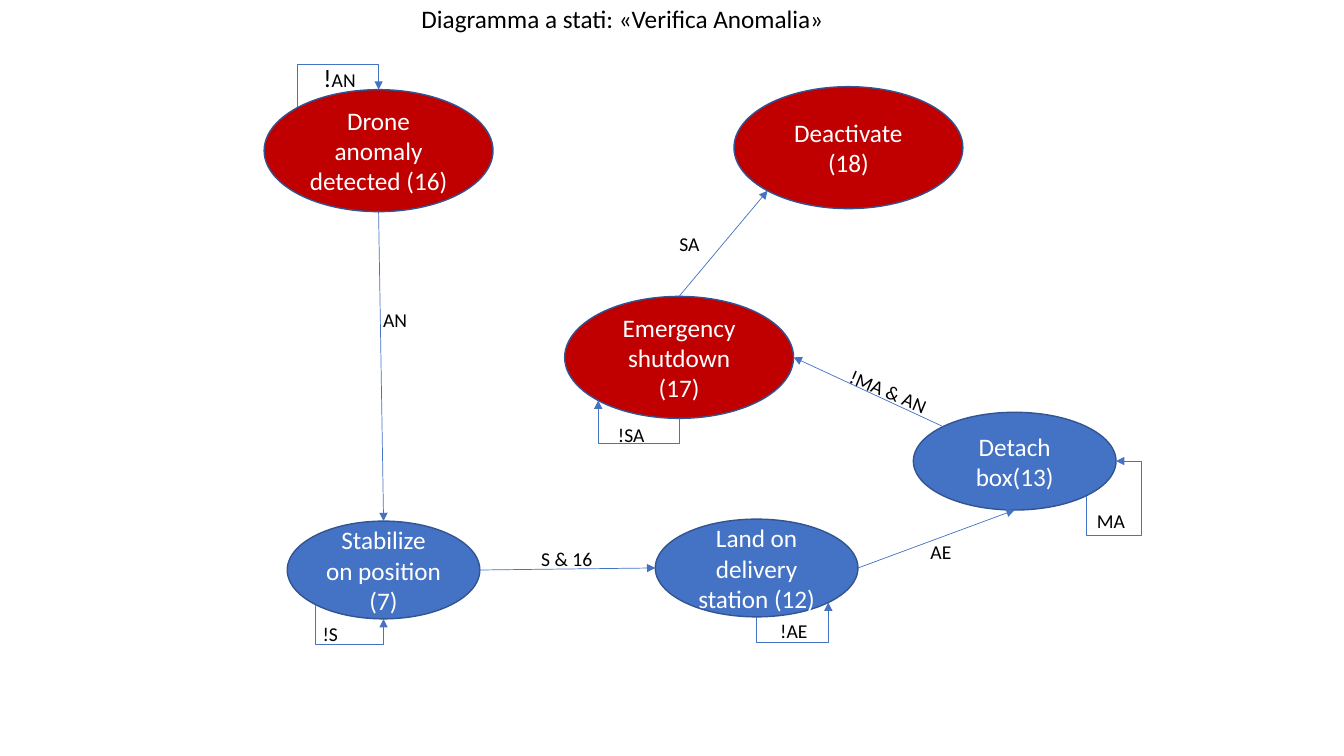
import math
from pptx import Presentation
from pptx import util as u
from pptx.dml.color import RGBColor
from pptx.enum import shapes, text
from pptx.oxml import ns
from lxml import etree

RED = RGBColor(0xC0, 0x00, 0x00)
BLUE = RGBColor(0x44, 0x72, 0xC4)
OUTLINE = RGBColor(0x32, 0x54, 0x91)
WHITE = RGBColor(0xFF, 0xFF, 0xFF)
BLACK = RGBColor(0x00, 0x00, 0x00)

presentation = Presentation()
presentation.slide_width = u.Inches(13.33)
presentation.slide_height = u.Inches(7.5)
COLUMN = presentation.slide_width / 100
ROW = presentation.slide_height / 100
slide = presentation.slides.add_slide(presentation.slide_layouts[5])


def add_run(paragraph, words, size, color):
    """Append one Calibri run to the paragraph."""
    run = paragraph.add_run()
    run.text = words
    run.font.name = "Calibri"
    run.font.size = u.Pt(size)
    run.font.color.rgb = color


def add_arrow(kind, start, end):
    """Draw a thin blue connector with an arrowhead at its end."""
    connector = slide.shapes.add_connector(kind, *start, *end)
    connector.line.color.rgb = BLUE
    connector.line.width = u.Pt(0.5)
    outline = connector.line._get_or_add_ln()
    etree.SubElement(outline, ns.qn("a:tailEnd"), type="triangle")
    etree.SubElement(connector._element.spPr, ns.qn("a:effectLst"))
    return connector


# Title
title = slide.shapes.title
title.left, title.top = round(30.61 * COLUMN), round(-0.27 * ROW)
title.width, title.height = round(34.96 * COLUMN), round(5.33 * ROW)
title.text_frame.vertical_anchor = text.MSO_ANCHOR.TOP
title.text_frame.auto_size = text.MSO_AUTO_SIZE.NONE
title_paragraph = title.text_frame.paragraphs[0]
title_paragraph.alignment = text.PP_ALIGN.LEFT
add_run(title_paragraph, "Diagramma a stati: «Verifica Anomalia»", 18, BLACK)

# States: centre column, centre row, columns wide, rows high, fill, lines
STATES = {
    "drone": (28.17, 19.93, 17.03, 16.13, RED, ["Drone anomaly detected (16)"]),
    "deactivate": (63.13, 19.53, 17.03, 16.13, RED, ["Deactivate", "(18)"]),
    "emergency": (50.53, 47.27, 17.03, 16.13, RED, ["Emergency shutdown (17)"]),
    "stabilize": (28.54, 75.4, 14.33, 12.93, BLUE, ["Stabilize on position (7)"]),
    "land": (56.3, 75.13, 15.08, 12.93, BLUE, ["Land on delivery station (12)"]),
    "detach": (75.5, 61, 15.08, 12.93, BLUE, ["Detach box(13)"]),
}
ovals = {}
sites = {}
for state, (column, row, columns, rows, fill, lines) in STATES.items():
    oval = slide.shapes.add_shape(
        shapes.MSO_SHAPE.OVAL,
        round((column - columns / 2) * COLUMN), round((row - rows / 2) * ROW),
        round(columns * COLUMN), round(rows * ROW))
    oval.shadow.inherit = False
    oval.fill.solid()
    oval.fill.fore_color.rgb = fill
    oval.line.color.rgb = OUTLINE
    oval.line.width = u.Pt(1)
    frame = oval.text_frame
    frame.word_wrap = True
    frame.vertical_anchor = text.MSO_ANCHOR.MIDDLE
    for index, line in enumerate(lines):
        paragraph = frame.add_paragraph() if index else frame.paragraphs[0]
        paragraph.alignment = text.PP_ALIGN.CENTER
        add_run(paragraph, line, 18, WHITE)
    ovals[state] = oval
    # Eight connection sites, counter-clockwise from the top
    sites[state] = [
        (round((column - columns / 2 * math.sin(site * math.pi / 4)) * COLUMN),
         round((row - rows / 2 * math.cos(site * math.pi / 4)) * ROW))
        for site in range(8)]

# Transitions between states: from, site, to, site
TRANSITIONS = [
    ("drone", 4, "stabilize", 0),
    ("stabilize", 6, "land", 2),
    ("land", 6, "detach", 4),
    ("detach", 1, "emergency", 6),
    ("emergency", 0, "deactivate", 3),
]
for source, leave, target, arrive in TRANSITIONS:
    arrow = add_arrow(shapes.MSO_CONNECTOR.STRAIGHT,
                      sites[source][leave], sites[target][arrive])
    joints = arrow._element.find(".//" + ns.qn("p:cNvCxnSpPr"))
    for tag, state, site in (("a:stCxn", source, leave), ("a:endCxn", target, arrive)):
        etree.SubElement(joints, ns.qn(tag), id=str(ovals[state].shape_id), idx=str(site))

# Loops leave their state vertically and turn a quarter inch outside it
REACH = u.Inches(0.25)
LOOPS = [("drone", 1, 0), ("stabilize", 3, 4), ("land", 4, 5),
         ("emergency", 4, 3), ("detach", 5, 6)]
for state, leave, arrive in LOOPS:
    start, end = sites[state][leave], sites[state][arrive]
    across, down = end[0] - start[0], end[1] - start[1]
    turn = sites[state][0][1] - REACH if state == "drone" else sites[state][4][1] + REACH
    bends = [(turn - start[1]) / down]
    if arrive == 6:
        bends.append((end[0] + REACH - start[0]) / across)
    loop = add_arrow(shapes.MSO_CONNECTOR.ELBOW, start, end)
    # A quarter turn makes the first segment vertical
    loop.width, loop.height = abs(down), abs(across)
    loop.left = (start[0] + end[0] - abs(down)) // 2
    loop.top = (start[1] + end[1] - abs(across)) // 2
    frame = loop._element.spPr.find(ns.qn("a:xfrm"))
    frame.set("rot", str(90 * 60000))
    frame.set("flipH", str(int(down < 0)))
    frame.set("flipV", str(int(across > 0)))
    geometry = loop._element.spPr.find(ns.qn("a:prstGeom"))
    geometry.set("prst", f"bentConnector{len(bends) + 2}")
    guides = geometry.find(ns.qn("a:avLst"))
    for number, bend in enumerate(bends, 1):
        etree.SubElement(guides, ns.qn("a:gd"), name=f"adj{number}",
                         fmla=f"val {round(bend * 100000)}")

# Labels: left column, top row, rotation, runs with their sizes
LABELS = [
    (23.33, 7.6, 0, [("!", 18), ("AN", 14)]),
    (27.76, 40.13, 0, [("AN", 14)]),
    (39.53, 71.73, 0, [("S & 16", 14)]),
    (23.26, 81.6, 0, [("!S", 14)]),
    (57.31, 81.2, 0, [("!AE", 14)]),
    (68.49, 70.8, 0, [("AE", 14)]),
    (80.87, 66.67, 0, [("MA", 14)]),
    (62.19, 50.93, 22.7, [("!MA & AN", 14)]),
    (45.24, 55.33, 0, [("!SA", 14)]),
    (49.81, 30, 0, [("SA", 14)]),
]
for column, row, rotation, runs in LABELS:
    label = slide.shapes.add_textbox(round(column * COLUMN), round(row * ROW),
                                     round(11.55 * COLUMN), round(4.53 * ROW))
    label.rotation = rotation
    label.text_frame.word_wrap = True
    for words, size in runs:
        add_run(label.text_frame.paragraphs[0], words, size, BLACK)

presentation.save("out.pptx")
